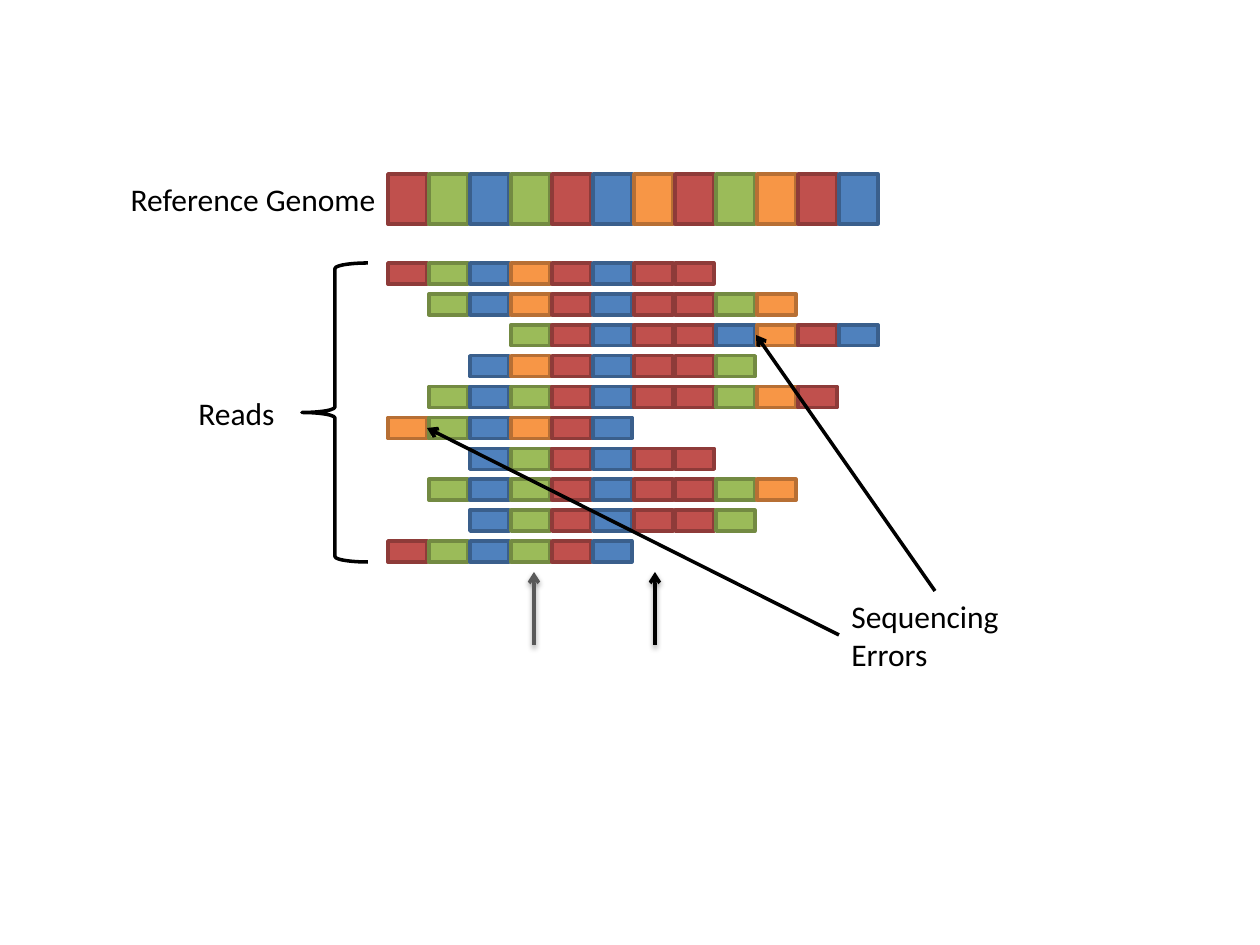
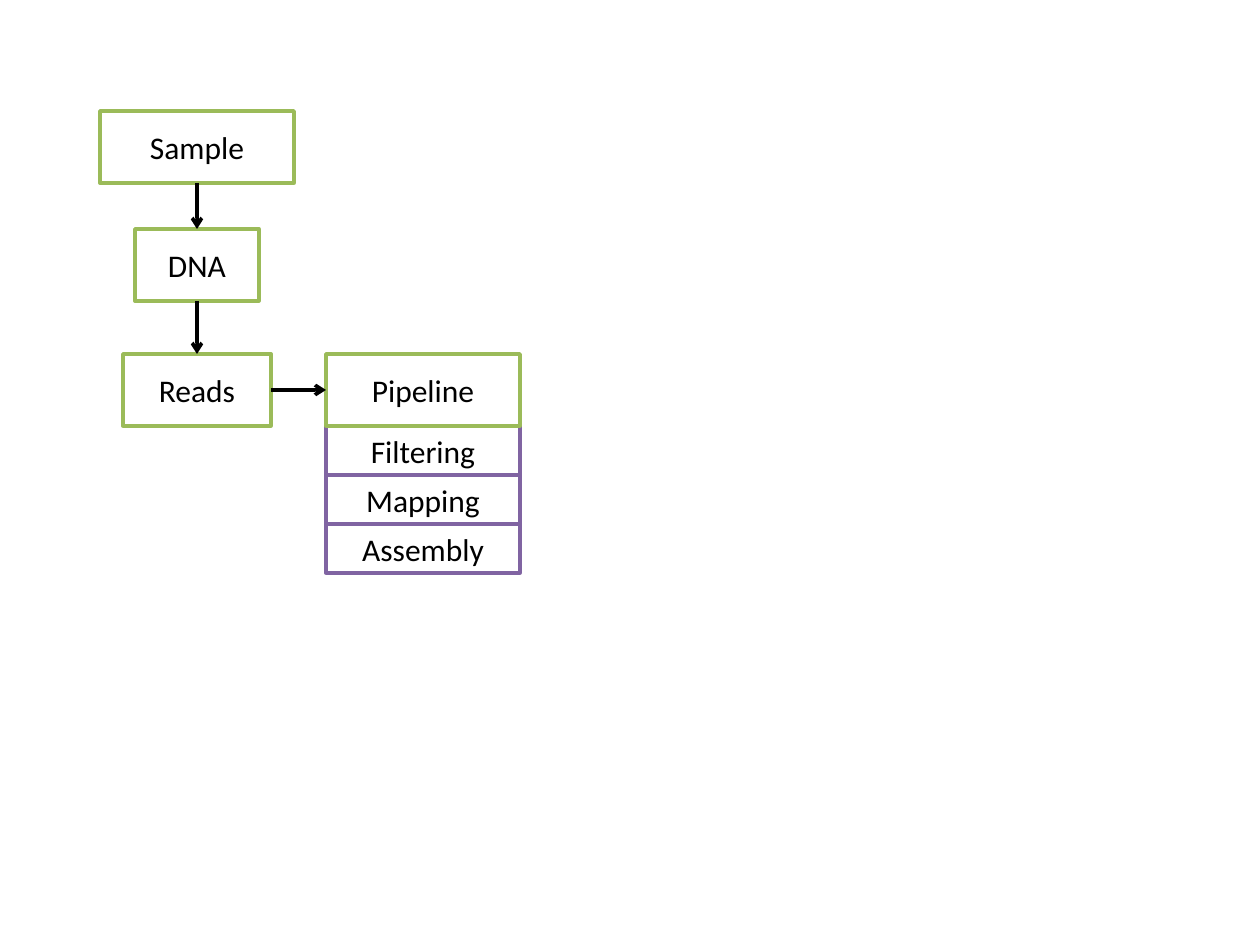
import pptx
import pptx.util
import pptx.dml.color
import pptx.enum.shapes
import pptx.enum.text
import pptx.oxml
import pptx.oxml.ns

RGB = pptx.dml.color.RGBColor
SHAPE = pptx.enum.shapes.MSO_SHAPE
ALIGN = pptx.enum.text.PP_ALIGN
ANCHOR = pptx.enum.text.MSO_ANCHOR
AUTO_SIZE = pptx.enum.text.MSO_AUTO_SIZE

BLACK = RGB(0x00, 0x00, 0x00)
GREY = RGB(0x59, 0x59, 0x59)
WHITE = RGB(0xFF, 0xFF, 0xFF)
GREEN = RGB(0x9B, 0xBB, 0x59)
PURPLE = RGB(0x80, 0x64, 0xA2)

# Base letter: fill, outline
BASE_COLOURS = {
    "R": (RGB(0xC0, 0x50, 0x4D), RGB(0x8E, 0x3B, 0x39)),
    "G": (GREEN, RGB(0x73, 0x8A, 0x42)),
    "B": (RGB(0x4F, 0x81, 0xBD), RGB(0x3A, 0x5F, 0x8C)),
    "O": (RGB(0xF7, 0x96, 0x46), RGB(0xB7, 0x6F, 0x34)),
}

SCALE = 914400 / 126  # EMU per pixel
LINE_WIDTH = pptx.util.Pt(2)
FONT = {"name": "Calibri", "size": pptx.util.Pt(18)}

# Slide 1: alignment of reads, each with its first column
REFERENCE = "RGBGRBORGORB"
READS = [
    (0, "RGBORBRR"),
    (1, "GBORBRRGO"),
    (3, "GRBRRBORB"),
    (2, "BORBRRG"),
    (1, "GBGRBRRGOR"),
    (0, "OGBORB"),
    (2, "BGRBRR"),
    (1, "GBGRBRRGO"),
    (2, "BGRBRRG"),
    (0, "RGBGRB"),
]
BASE_LEFT, BASE_PITCH, BASE_WIDTH = 388, 41, 39
REFERENCE_TOP, REFERENCE_HEIGHT = 174, 50
FIRST_READ_TOP, LAST_READ_TOP, READ_HEIGHT = 263, 541, 21
BRACE = (302, 263, 66, 299)
LABELS = [
    ("Reads", (96, 388, 191, 50), ALIGN.RIGHT),
    ("Reference Genome", (115, 174, 273, 50), ALIGN.RIGHT),
    ("Sequencing Errors", (839, 591, 192, 89), ALIGN.LEFT),
]
VARIANT_ARROWS = [((534, 645), (534, 572), GREY), ((655, 645), (655, 572), BLACK)]
ERROR_ARROWS = [((935, 591), (756, 335)), ((839, 635), (427, 428))]

# Slide 2: workflow, with each stage's top and width
STAGES = [("Sample", 111, 194), ("DNA", 229, 124), ("Reads", 354, 148)]
STAGE_CENTRE, STAGE_HEIGHT = 197, 72
PIPELINE, PIPELINE_LEFT, PIPELINE_WIDTH = "Pipeline", 326, 194
STEPS = ["Filtering", "Mapping", "Assembly"]
STEP_HEIGHT = 49

SHADOW = (
    '<a:outerShdw blurRad="40000" dist="20000" dir="5400000" rotWithShape="0">'
    '<a:srgbClr val="000000"><a:alpha val="38000"/></a:srgbClr></a:outerShdw>'
)


def emu(*pixels):
    """Turn pixels into a list of EMU lengths."""
    return [round(pixel * SCALE) for pixel in pixels]


def xml(tag, attributes="", inner=""):
    """Make one DrawingML element."""
    namespace = pptx.oxml.ns.nsdecls("a")
    return pptx.oxml.parse_xml(f"<a:{tag} {namespace} {attributes}>{inner}</a:{tag}>")


def write(frame, words, alignment):
    """Put one paragraph in the shared font into a text frame."""
    frame.word_wrap = True
    paragraph = frame.paragraphs[0]
    paragraph.alignment = alignment
    run = paragraph.add_run()
    run.text = words
    for attribute, value in FONT.items():
        setattr(run.font, attribute, value)
    run.font.color.rgb = BLACK


def outlined(shapes, kind, place, outline, fill=None):
    """Add a preset shape with a plain outline and an optional fill."""
    shape = shapes.add_shape(kind, *emu(*place))
    shape.shadow.inherit = False
    if fill is None:
        shape.fill.background()
    else:
        shape.fill.solid()
        shape.fill.fore_color.rgb = fill
    shape.line.color.rgb = outline
    shape.line.width = LINE_WIDTH
    return shape


def sequence(slide, bases, column, top, height):
    """Draw a group of coloured bases from the given column."""
    group = slide.shapes.add_group_shape()
    for position, base in enumerate(bases, column):
        fill, outline = BASE_COLOURS[base]
        left = BASE_LEFT + position * BASE_PITCH
        outlined(group.shapes, SHAPE.RECTANGLE, (left, top, BASE_WIDTH, height), outline, fill)


def label(slide, words, place, alignment):
    """Add a free text label."""
    frame = slide.shapes.add_textbox(*emu(*place)).text_frame
    write(frame, words, alignment)
    frame.auto_size = AUTO_SIZE.SHAPE_TO_FIT_TEXT


def arrow(slide, start, end, colour=BLACK, effect=""):
    """Draw a straight arrow, with an effect if one is given."""
    straight = pptx.enum.shapes.MSO_CONNECTOR.STRAIGHT
    connector = slide.shapes.add_connector(straight, *emu(*start, *end))
    connector.line.color.rgb = colour
    connector.line.width = LINE_WIDTH
    connector.line._get_or_add_ln().append(xml("tailEnd", 'type="arrow"'))
    connector._element.spPr.append(xml("effectLst", inner=effect))


def box(slide, words, place, outline):
    """Draw a white workflow box with centred text."""
    shape = outlined(slide.shapes, SHAPE.RECTANGLE, place, outline, WHITE)
    write(shape.text_frame, words, ALIGN.CENTER)
    shape.text_frame.vertical_anchor = ANCHOR.MIDDLE


def build_alignment(slide):
    """Draw the reference, the reads below it and their marks."""
    sequence(slide, REFERENCE, 0, REFERENCE_TOP, REFERENCE_HEIGHT)
    pitch = (LAST_READ_TOP - FIRST_READ_TOP) / (len(READS) - 1)
    for row, (column, bases) in enumerate(READS):
        sequence(slide, bases, column, FIRST_READ_TOP + row * pitch, READ_HEIGHT)
    outlined(slide.shapes, SHAPE.LEFT_BRACE, BRACE, BLACK)
    for words, place, alignment in LABELS:
        label(slide, words, place, alignment)
    for start, end, colour in VARIANT_ARROWS:
        arrow(slide, start, end, colour, SHADOW)
    for start, end in ERROR_ARROWS:
        arrow(slide, start, end)


def build_workflow(slide):
    """Draw the stages downwards, then the pipeline and its steps."""
    for words, top, width in STAGES:
        box(slide, words, (STAGE_CENTRE - width / 2, top, width, STAGE_HEIGHT), GREEN)
    _, pipeline_top, reads_width = STAGES[-1]
    for row, step in enumerate(STEPS):
        top = pipeline_top + STAGE_HEIGHT + row * STEP_HEIGHT
        box(slide, step, (PIPELINE_LEFT, top, PIPELINE_WIDTH, STEP_HEIGHT), PURPLE)
    box(slide, PIPELINE, (PIPELINE_LEFT, pipeline_top, PIPELINE_WIDTH, STAGE_HEIGHT), GREEN)
    for (_, top, _), (_, next_top, _) in zip(STAGES, STAGES[1:]):
        arrow(slide, (STAGE_CENTRE, top + STAGE_HEIGHT), (STAGE_CENTRE, next_top))
    middle = pipeline_top + STAGE_HEIGHT / 2
    arrow(slide, (STAGE_CENTRE + reads_width / 2, middle), (PIPELINE_LEFT, middle))


deck = pptx.Presentation()
deck.slide_width, deck.slide_height = emu(1260, 945)
blank = deck.slide_layouts[6]
for build in (build_alignment, build_workflow):
    build(deck.slides.add_slide(blank))
deck.save("out.pptx")
